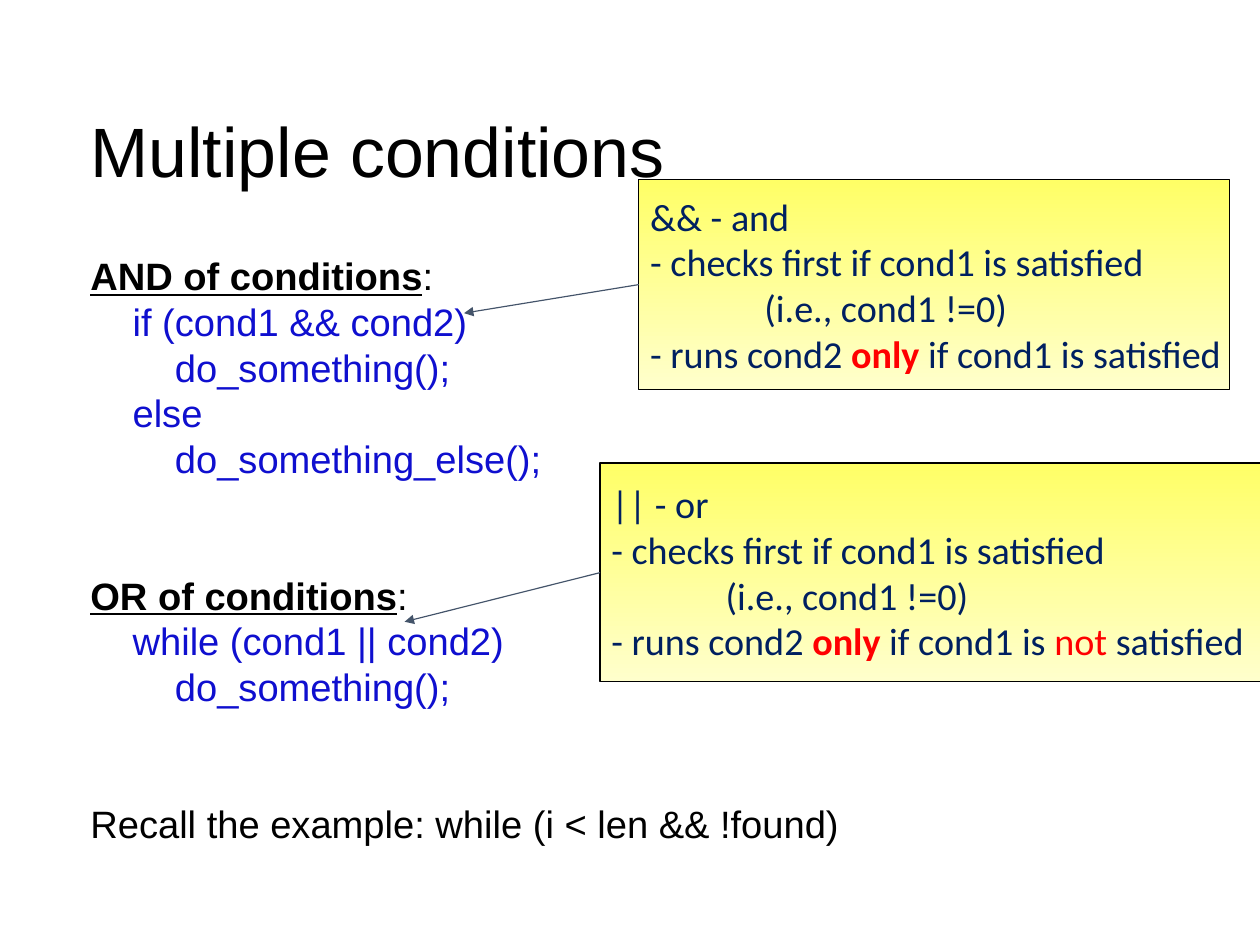
from pptx import Presentation
from pptx.dml.color import RGBColor
from pptx.enum.dml import MSO_LINE
from pptx.enum.shapes import MSO_CONNECTOR, MSO_SHAPE
from pptx.enum.text import MSO_ANCHOR, MSO_AUTO_SIZE, PP_ALIGN
from pptx.oxml.ns import qn
from pptx.util import Inches, Pt
from lxml.etree import SubElement


def rgb(value):
    return RGBColor.from_string(value)


class ConditionSlide:
    """Draws titles, code lists, callouts and arrows in one style on one slide."""

    styles = {
        "plain": {"color": "000000"},
        "heading": {"color": "000000", "bold": True, "underline": True},
        "code": {"color": "0F0FCF"},
        "note": {"color": "002060"},
        "strong": {"color": "FF0000", "bold": True},
        "red": {"color": "FF0000"},
    }
    line_height = Pt(28.8)
    section_gap = Pt(57.2)

    def __init__(self, slide):
        self.slide = slide

    def place(self, shape, box):
        for side, length in zip(("left", "top", "width", "height"), box):
            setattr(shape, side, Inches(length))

    def frame(self, shape, anchor, wrap, margins):
        frame = shape.text_frame
        layout = {"auto_size": MSO_AUTO_SIZE.NONE, "vertical_anchor": anchor,
                  "word_wrap": wrap}
        sides = ("margin_left", "margin_top", "margin_right", "margin_bottom")
        layout.update(zip(sides, (Inches(margin) for margin in margins * 2)))
        for name, value in layout.items():
            setattr(frame, name, value)
        return frame

    def paragraph(self, paragraph, runs, font, size, indent=0, **spacing):
        settings = {"alignment": PP_ALIGN.LEFT, "space_before": Pt(0),
                    "space_after": Pt(0), **spacing}
        for name, value in settings.items():
            setattr(paragraph, name, value)
        properties = paragraph._p.get_or_add_pPr()
        properties.set("marL", str(Inches(indent)))
        properties.set("indent", "0")
        SubElement(properties, qn("a:buNone"))
        for text, style in runs:
            run = paragraph.add_run()
            run.text = text
            look = {"name": font, "size": Pt(size), "bold": False,
                    "underline": False, **self.styles[style]}
            run.font.color.rgb = rgb(look.pop("color"))
            for name, value in look.items():
                setattr(run.font, name, value)

    def lines(self, frame, lines, font, step):
        for number, (level, gap, runs) in enumerate(lines):
            paragraph = frame.add_paragraph() if number else frame.paragraphs[0]
            self.paragraph(paragraph, runs, font, 24, level * step,
                           line_spacing=self.line_height,
                           space_before=self.section_gap if gap else Pt(0))

    def title(self, text, box):
        title = self.slide.shapes.title
        self.place(title, box)
        frame = self.frame(title, MSO_ANCHOR.MIDDLE, True, (0, 0))
        self.paragraph(frame.paragraphs[0], [(text, "plain")], "Arial", 44)

    def body(self, lines, box):
        body = self.slide.placeholders[1]
        self.place(body, box)
        self.lines(self.frame(body, MSO_ANCHOR.TOP, True, (0, 0)), lines, "Arial", 0.37)

    def callout(self, operator, ending, box):
        callout = self.slide.shapes.add_shape(
            MSO_SHAPE.RECTANGLE, *(Inches(length) for length in box))
        callout.shadow.inherit = False
        callout.fill.gradient()
        callout.fill.gradient_angle = 270
        for stop, color in zip(callout.fill.gradient_stops, ("FFFF66", "FFFFCC")):
            stop.color.rgb = rgb(color)
        callout.line.color.rgb = rgb("000000")
        callout.line.width = Pt(0)
        lines = [
            (0, False, [(operator, "note")]),
            (0, False, [("- checks first if cond1 is satisfied", "note")]),
            (1, False, [("(i.e., cond1 !=0)", "note")]),
            (0, False, [("- runs cond2 ", "note"), ("only", "strong"), *ending]),
        ]
        frame = self.frame(callout, MSO_ANCHOR.MIDDLE, False, (0.1, 0.05))
        self.lines(frame, lines, "Calibri", 1)

    def arrow(self, start, end):
        arrow = self.slide.shapes.add_connector(
            MSO_CONNECTOR.STRAIGHT, *(Inches(length) for length in start + end))
        line = arrow.line
        line.color.rgb = rgb("44546A")
        line.width = Pt(0.75)
        line.dash_style = MSO_LINE.SOLID
        SubElement(line._get_or_add_ln(), qn("a:tailEnd"), type="triangle")
        SubElement(arrow._element.spPr, qn("a:effectLst"))


presentation = Presentation()
presentation.slide_width = Inches(28 / 2.54)
presentation.slide_height = Inches(21 / 2.54)
conditions = ConditionSlide(
    presentation.slides.add_slide(presentation.slide_layouts[1]))

conditions.title("Multiple conditions", (0.79, 0.62, 9.25, 1.37))
conditions.body([
    (0, False, [("AND of conditions", "heading"), (":", "plain")]),
    (1, False, [("if (cond1 && cond2)", "code")]),
    (2, False, [("do_something();", "code")]),
    (1, False, [("else", "code")]),
    (2, False, [("do_something_else();", "code")]),
    (0, True, [("OR of conditions", "heading"), (":", "plain")]),
    (1, False, [("while (cond1 || cond2)", "code")]),
    (2, False, [("do_something();", "code")]),
    (0, True, [("Recall the example: while (i < len && !found)", "plain")]),
], (0.79, 2.21, 9.68, 5.26))

conditions.callout("&& - and", [(" if cond1 is satisfied", "note")],
                   (5.59, 1.57, 5.17, 1.84))
conditions.arrow((5.59, 2.49), (4.06, 2.74))
conditions.callout("|| - or", [(" if cond1 is ", "note"), ("not", "red"),
                               (" satisfied", "note")],
                   (5.25, 4.05, 5.78, 1.91))
conditions.arrow((5.25, 5.01), (3.54, 5.44))

presentation.save("out.pptx")
